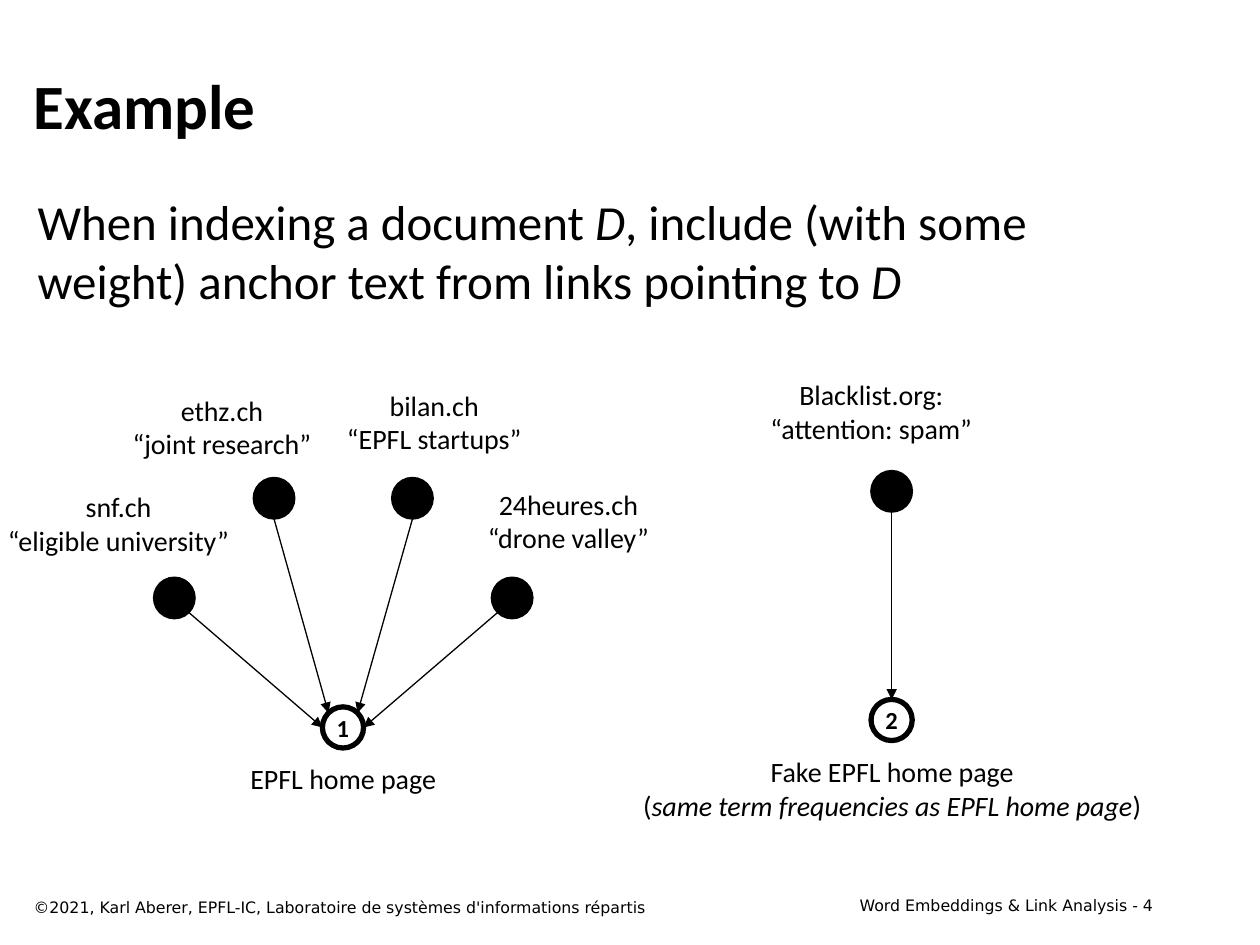
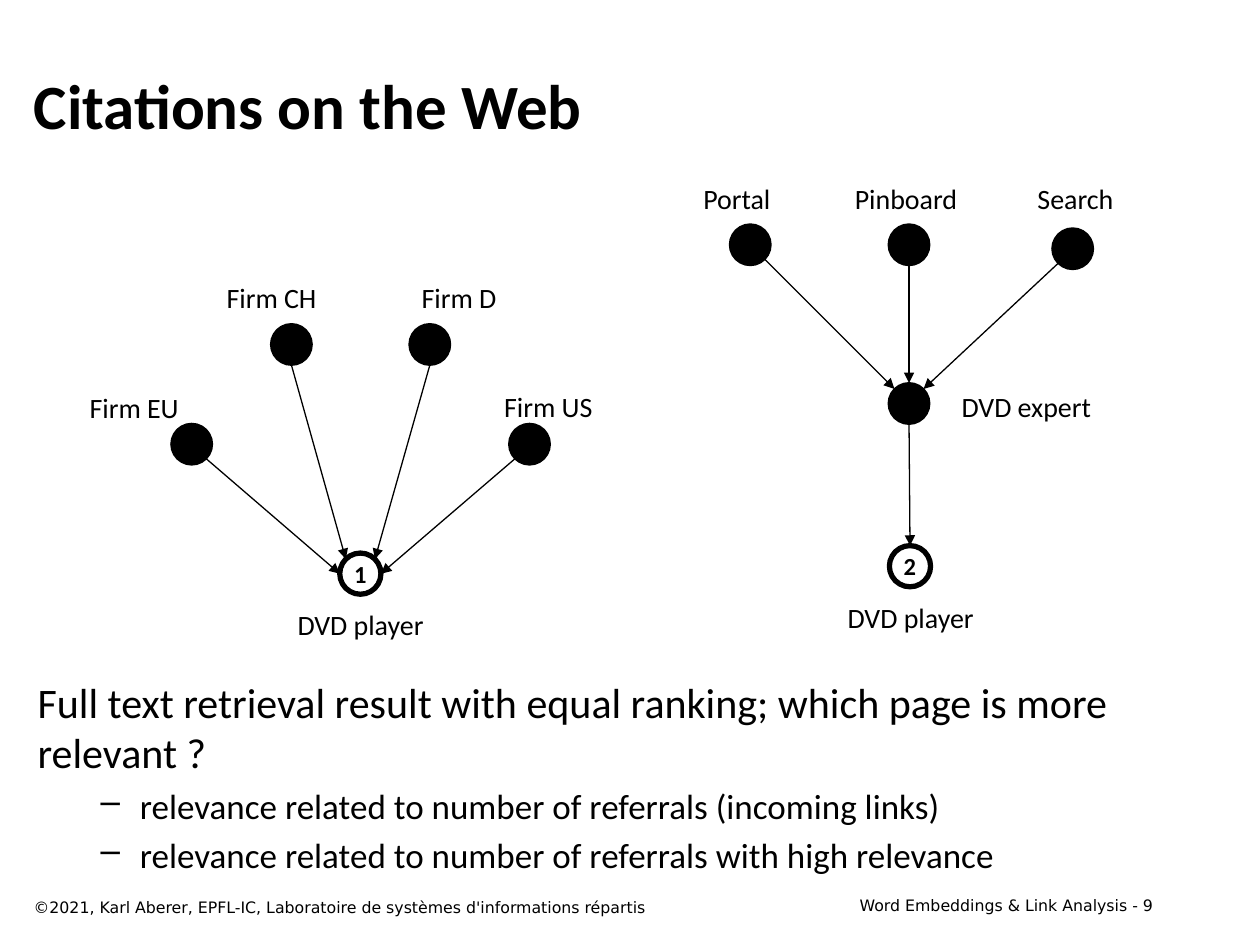
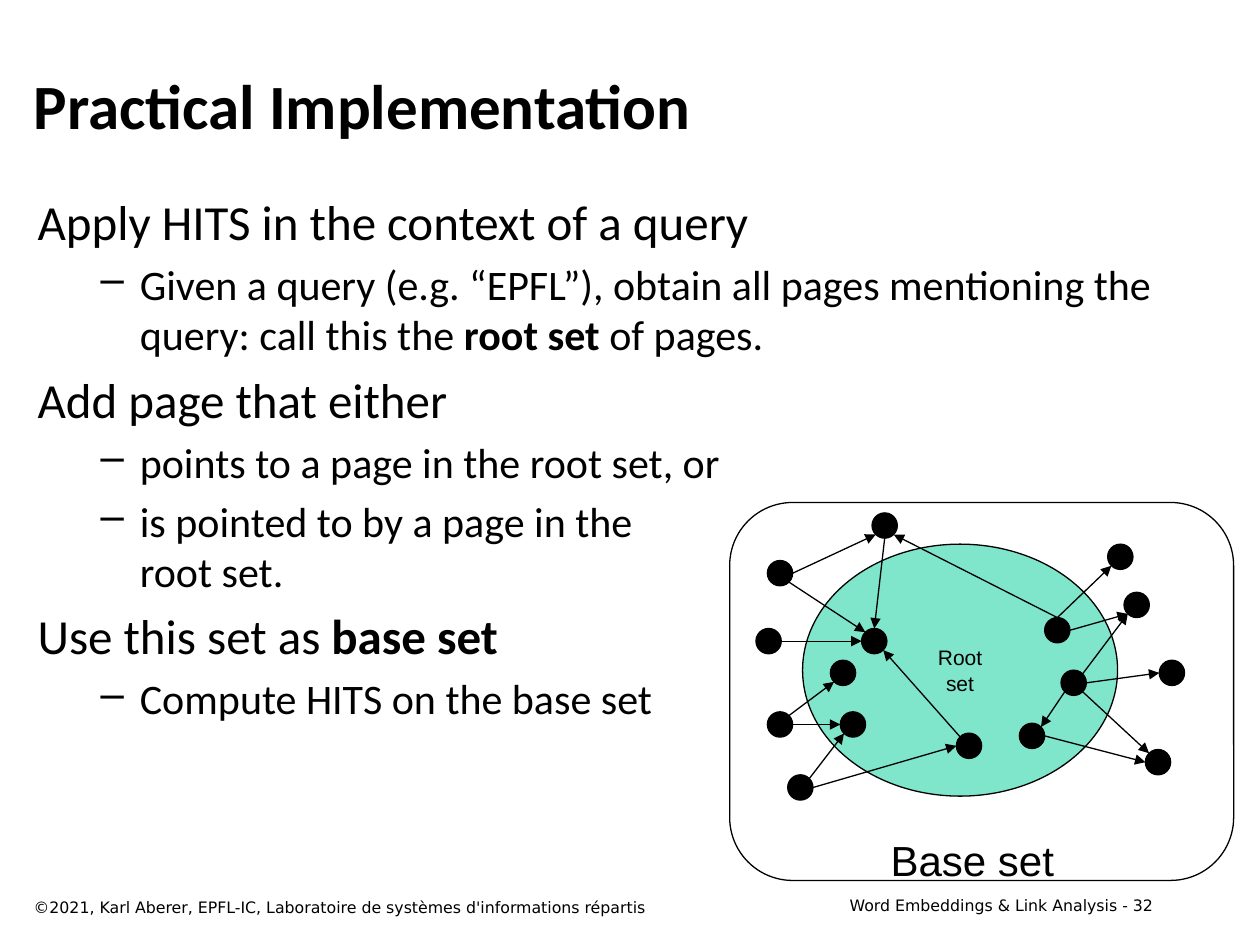
from math import cos, radians, sin

from lxml.etree import SubElement
from pptx import Presentation
from pptx.dml.color import RGBColor
from pptx.enum.shapes import MSO_CONNECTOR, MSO_SHAPE
from pptx.enum.text import MSO_ANCHOR, PP_ALIGN
from pptx.oxml.ns import qn
from pptx.util import Cm, Pt

HUES = {"ink": "000000", "root": "00CC99"}
SANS, FOOT, ARIAL = "Calibri", "DejaVu Sans", "Arial"
BIG, SMALL = 0.83, 0.51  # dot diameters
SITES = {"e": 0, "se": 45, "s": 90, "sw": 135, "w": 180, "nw": 225, "n": 270, "ne": 315}


def hue(name):
    return RGBColor.from_string(HUES[name])


# --- Text ---
def fill_para(para, parts, size, font=SANS, bold=None, align=None):
    """Parts are strings, or (string, "b" or "i") for emphasis."""
    for part in [parts] if isinstance(parts, str) else parts:
        if part == "\n":
            para.add_line_break()
            continue
        text, mark = part if isinstance(part, tuple) else (part, "")
        run = para.add_run()
        run.text = text
        if mark == "b":
            run.font.bold = True
        elif mark == "i":
            run.font.italic = True
    para.font.size, para.font.name, para.font.bold = Pt(size), font, bold
    para.font.color.rgb = hue("ink")
    para.alignment = align


def write(frame, lines, size, wrap=True, anchor=MSO_ANCHOR.TOP, **style):
    frame.word_wrap = wrap
    frame.vertical_anchor = anchor
    for i, line in enumerate(lines):
        para = frame.add_paragraph() if i else frame.paragraphs[0]
        fill_para(para, line, size, **style)


def add_text(slide, x, y, w, h, lines, size, **style):
    box = slide.shapes.add_textbox(Cm(x), Cm(y), Cm(w), Cm(h))
    write(box.text_frame, lines, size, **style)


def add_label(slide, x, y, w, *lines):
    high = 0.94 + 0.69 * (len(lines) - 1)
    add_text(slide, x, y, w, high, lines, 16, wrap=False, align=PP_ALIGN.CENTER)


def add_body(slide, y, w, h, size, items):
    """Items are (level, parts); level 1 is dashed and one step smaller."""
    box = slide.shapes.add_textbox(Cm(0.51), Cm(y), Cm(w), Cm(h))
    frame = box.text_frame
    frame.word_wrap = True
    for i, (level, parts) in enumerate(items):
        para = frame.add_paragraph() if i else frame.paragraphs[0]
        points = size - 4 * level
        if level:
            props = para._p.get_or_add_pPr()
            props.set("marL", str(Cm(2.06)))
            props.set("indent", str(Cm(-0.79)))
            SubElement(props, qn("a:buChar")).set("char", "–")
        if i:
            para.space_before = Pt(points * 0.2)
        fill_para(para, parts, points)


# --- Shapes ---
def add_form(slide, kind, x, y, w, h, line, fill=None):
    form = slide.shapes.add_shape(kind, Cm(x), Cm(y), Cm(w), Cm(h))
    form.shadow.inherit = False
    form.line.color.rgb = hue("ink")
    form.line.width = Pt(line)
    if fill:
        form.fill.solid()
        form.fill.fore_color.rgb = hue(fill)
    else:
        form.fill.background()
    return form


def add_dot(slide, x, y, size=BIG, line=1):
    return add_form(slide, MSO_SHAPE.OVAL, x, y, size, size, line, "ink")


def add_ring(slide, x, y, mark):
    ring = add_form(slide, MSO_SHAPE.OVAL, x, y, BIG, BIG, 3)
    write(ring.text_frame, [mark], 14, wrap=False, anchor=MSO_ANCHOR.MIDDLE,
          bold=True, align=PP_ALIGN.CENTER)
    return ring


def site(dot, side):
    turn, half = radians(SITES[side]), dot.width / 2
    return (round(dot.left + half + half * cos(turn)),
            round(dot.top + half + half * sin(turn)))


def add_link(slide, start, out, end, into):
    """Arrow from one compass point of a dot to that of another."""
    link = slide.shapes.add_connector(
        MSO_CONNECTOR.STRAIGHT, *site(start, out), *site(end, into))
    link.line.color.rgb = hue("ink")
    link.line.width = Pt(0.75)
    SubElement(link.line._get_or_add_ln(), qn("a:tailEnd")).set("type", "triangle")
    SubElement(link._element.spPr, qn("a:effectLst"))


def add_fan(slide, x, y, name, wide):
    """Four dots that point to ring 1."""
    ring = add_ring(slide, x + 3.4, y + 4.62, "1")
    for dx, dy, out, into in [(0, 2.01, "se", "w"), (2.01, 0, "s", "nw"),
                              (4.8, 0, "s", "ne"), (6.81, 2.01, "sw", "e")]:
        add_link(slide, add_dot(slide, x + dx, y + dy), out, ring, into)
    add_label(slide, x + 3.82 - wide / 2, y + 5.6, wide, name)


# --- Slides ---
def add_page(deck, title, number):
    slide = deck.slides.add_slide(deck.slide_layouts[6])
    add_text(slide, 16.1, 17.93, 7.39, 0.64,
             [f"Word Embeddings & Link Analysis - {number}"], 9,
             font=FOOT, align=PP_ALIGN.RIGHT)
    add_text(slide, 0.43, 17.98, 16.31, 0.64,
             ["©2021, Karl Aberer, EPFL-IC, Laboratoire de systèmes d'informations répartis"],
             9, font=FOOT)
    add_text(slide, 0.43, 0.84, 23.06, 2.54, [title], 36,
             anchor=MSO_ANCHOR.MIDDLE, bold=True)
    return slide


def draw_anchors(deck):
    slide = add_page(deck, "Example", 4)
    add_body(slide, 3.73, 23.06, 13.97, 28, [
        (0, ["When indexing a document ", ("D", "i"),
             ", include (with some weight) anchor text from links pointing to ", ("D", "i")])])
    # True home page
    add_fan(slide, 3.1, 9.63, "EPFL home page", 4.45)
    add_label(slide, -0.2, 9.75, 5.18, "snf.ch", "“eligible university”")
    add_label(slide, 2.39, 7.8, 4.17, "ethz.ch", "“joint research”")
    add_label(slide, 6.71, 7.7, 4.09, "bilan.ch", "“EPFL startups”")
    add_label(slide, 9.53, 9.7, 3.86, "24heures.ch", "“drone valley”")
    # Fake home page
    ring = add_ring(slide, 17.56, 14.1, "2")
    add_link(slide, add_dot(slide, 17.56, 9.49), "s", ring, "n")
    add_label(slide, 15.24, 7.49, 4.65, "Blacklist.org:", "“attention: spam”")
    add_label(slide, 12.6, 15.09, 10.77, "Fake EPFL home page",
              ["(", ("same term frequencies as EPFL home page", "i"), ")"])


def draw_cites(deck):
    slide = add_page(deck, "Citations on the Web", 9)
    add_body(slide, 13.51, 23.6, 3.58, 24, [
        (0, "Full text retrieval result with equal ranking; which page is more relevant ?"),
        (1, "relevance related to number of referrals (incoming links)"),
        (1, "relevance related to number of referrals with high relevance")])
    # Referrals from the maker
    add_fan(slide, 3.45, 6.53, "DVD player", 3.1)
    add_label(slide, 1.5, 7.75, 2.41, "Firm EU")
    add_label(slide, 4.27, 5.54, 2.41, "Firm CH")
    add_label(slide, 8.2, 5.54, 2.11, "Firm D")
    add_label(slide, 9.86, 7.72, 2.39, "Firm US")
    # Referrals by way of an expert
    hub = add_dot(slide, 17.91, 7.72)
    ring = add_ring(slide, 17.93, 11, "2")
    add_link(slide, hub, "s", ring, "n")
    for x, y, out, into in [(14.71, 4.52, "se", "nw"), (17.91, 4.52, "s", "n"),
                            (21.21, 4.6, "sw", "ne")]:
        add_link(slide, add_dot(slide, x, y), out, hub, into)
    for x, w, name in [(13.89, 1.93, "Portal"), (16.97, 2.59, "Pinboard"),
                       (20.6, 2.16, "Search")]:
        add_label(slide, x, 3.53, w, name)
    add_label(slide, 19.1, 7.72, 3.18, "DVD expert")
    add_label(slide, 16.81, 11.99, 3.1, "DVD player")


def draw_sets(deck):
    slide = add_page(deck, "Practical Implementation", 32)
    add_body(slide, 3.73, 23.06, 13.97, 28, [
        (0, "Apply HITS in the context of a query"),
        (1, ["Given a query (e.g. “EPFL”), obtain all pages mentioning the query: call this the ",
             ("root set ", "b"), "of pages."]),
        (0, "Add page that either"),
        (1, "points to a page in the root set, or"),
        (1, ["is pointed to by a page in the ", "\n", "root set."]),
        (0, ["Use this set as ", ("base set", "b")]),
        (1, "Compute HITS on the base set")])
    # Root set inside base set
    root = add_form(slide, MSO_SHAPE.FLOWCHART_CONNECTOR, 16.18, 10.97, 6.35, 5.08, 0.75, "root")
    tint = root._element.spPr.find(qn("a:solidFill"))[0]
    SubElement(tint, qn("a:alpha")).set("val", "50000")
    write(root.text_frame, ["Root", "set"], 12, wrap=False, anchor=MSO_ANCHOR.MIDDLE,
          font=ARIAL, align=PP_ALIGN.CENTER)
    add_form(slide, MSO_SHAPE.ROUNDED_RECTANGLE, 14.71, 10.13, 10.16, 7.62, 0.75)
    # Pages: r in the root set, w and e at its west and east
    spots = {
        "top": (17.58, 10.34), "w1": (15.47, 11.3), "w2": (15.24, 12.67),
        "w3": (15.47, 14.35), "w4": (15.88, 15.62), "e1": (22.33, 10.97),
        "e2": (22.66, 11.94), "e3": (23.37, 13.31), "e4": (23.09, 15.11),
        "r1": (17.37, 12.67), "r2": (16.74, 13.31), "r3": (16.94, 14.35),
        "r4": (19.28, 14.78), "r5": (20.55, 14.58), "r6": (21.39, 13.51),
        "r7": (21.06, 12.45)}
    dots = {key: add_dot(slide, x, y, SMALL, 0.75) for key, (x, y) in spots.items()}
    links = [
        "top s r1 n", "r7 n top se", "r7 n e1 sw", "r7 e e2 sw", "r6 e e3 w",
        "r6 se e4 nw", "r6 sw r5 ne", "r5 e e4 w", "r6 ne e2 sw", "w4 e r4 w",
        "w4 ne r3 sw", "w3 e r3 w", "w3 ne r2 sw", "r4 nw r1 se", "w2 e r1 w",
        "w1 e top sw", "w1 se r1 nw"]
    for link in links:
        start, out, end, into = link.split()
        add_link(slide, dots[start], out, dots[end], into)
    add_text(slide, 17.68, 16.69, 3.84, 1.27, ["Base set"], 24, wrap=False,
             anchor=MSO_ANCHOR.MIDDLE, font=ARIAL, align=PP_ALIGN.CENTER)


def main():
    deck = Presentation()
    deck.slide_width, deck.slide_height = Cm(25.4), Cm(19.05)
    draw_anchors(deck)
    draw_cites(deck)
    draw_sets(deck)
    deck.save("out.pptx")


if __name__ == "__main__":
    main()
